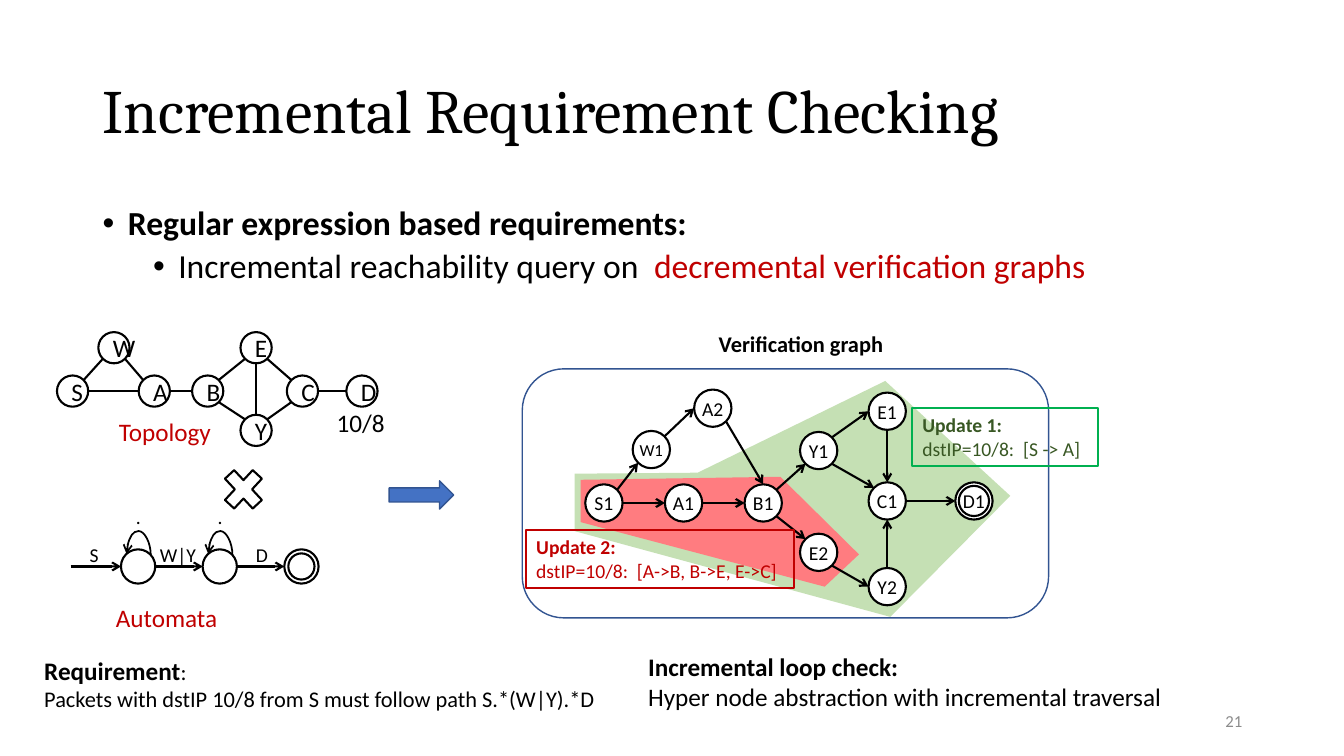
"""Build the slide on incremental requirement checking."""
from dataclasses import dataclass
from lxml import etree
from pptx import Presentation
from pptx import util as u
from pptx.dml.color import RGBColor
from pptx.enum import shapes, text
from pptx.oxml import ns

TITLE = "Incremental Requirement Checking"
BULLETS = [
    [("Regular expression based requirements:", "black", True)],
    [("Incremental reachability query on  ", "black", False),
     ("decremental verification graphs", "red", False)],
]
TOPOLOGY = {"S": (0.72, 3.88), "A": (1.53, 3.88), "W": (1.13, 3.45), "B": (2.06, 3.88),
            "C": (3.0, 3.88), "E": (2.54, 3.45), "Y": (2.54, 4.27), "D": (3.59, 3.88)}
LINKS = ["S ne W sw", "A nw W se", "A w S e", "B w A e", "E sw B ne", "E s Y n",
         "E se C nw", "Y ne C sw", "B se Y nw", "C e D w"]
VERIFICATION = {"S1": (5.99, 4.99), "A1": (6.78, 4.99), "W1": (6.46, 4.46), "B1": (7.57, 4.99),
                "C1": (8.8, 4.97), "Y1": (8.12, 4.47), "E2": (8.12, 5.48), "D1": (9.66, 4.97),
                "A2": (7.07, 4.05), "Y2": (8.8, 5.82), "E1": (8.8, 4.08)}
STEPS = ["S1 ne W1 sw", "S1 e A1 w", "A1 e B1 w", "Y1 se C1 nw", "B1 ne Y1 sw", "C1 e D1 w",
         "W1 ne A2 w", "A2 se B1 n", "E1 s C1 n", "Y1 ne E1 w", "Y2 n C1 s", "E2 se Y2 w",
         "B1 se E2 nw"]
AUTOMATON = [("S", 0.79, 0.24, "left"), ("W|Y", 1.45, 0.63, "center"), ("D", 2.44, 0.24, "left")]
REGIONS = [
    ("pale_green", [(5.7, 4.7), (6.92, 4.69), (7.37, 4.47), (8.78, 3.78), (10.02, 4.92),
                    (8.83, 6.12), (5.7, 5.27)]),
    ("pink", [(5.76, 4.76), (7.74, 4.73), (8.52, 5.5), (8.18, 5.82), (5.76, 5.18)]),
]
UPDATES = [
    ((9.05, 4.05, 1.84, 0.57), "green", "dark_green", "Update 1:", "dstIP=10/8:  [S -> A]"),
    ((5.22, 5.26, 2.66, 0.57), "red", "red", "Update 2:", "dstIP=10/8:  [A->B, B->E, E->C]"),
]
NOTES = [
    ((0.34, 6.45, 5.81, 0.67), [[("Requirement", 18, "black", True), (":", 16, "black", False)],
     [("Packets with dstIP 10/8 from S must follow path S.*(W|Y).*D", 16, "black", False)]], True),
    ((7.03, 3.23, 2.09, 0.37), [[("Verification graph", 16, "black", True)]], True),
    ((3.24, 3.99, 0.68, 0.4), [[("10/8", 18, "black", False)]], False),
    ((1.08, 4.08, 1.13, 0.4), [[("Topology", 18, "red", False)]], False),
    ((1.05, 5.93, 1.22, 0.4), [[("Automata", 18, "red", False)]], False),
    ((6.33, 6.41, 7, 0.71), [[("Incremental loop check:", 18, "black", True)],
     [("Hyper node abstraction with incremental traversal", 18, "black", False)]], True),
]


@dataclass(frozen=True)
class Theme:
    """Colours, fonts and sizes of the slide."""
    black: str = "000000"
    white: str = "FFFFFF"
    red: str = "C00000"
    green: str = "00B050"
    dark_green: str = "385723"
    pale_green: str = "C5E0B4"
    pink: str = "FF7C80"
    blue: str = "4472C4"
    navy: str = "325491"
    grey: str = "8C8C8C"
    head_font: str = "Cambria"
    body_font: str = "Calibri"
    title: int = 44
    body: int = 24
    node: int = 18
    small: int = 14
    tiny: int = 12


T = Theme()
COLS, ROWS = 13.33, 7.5
prs = Presentation()
prs.slide_width, prs.slide_height = u.Inches(COLS), u.Inches(ROWS)
CELL = prs.slide_height / ROWS
s = prs.slides.add_slide(prs.slide_layouts[5])


def grid(*cells):
    return [u.Emu(round(c * CELL)) for c in cells]


def color(name):
    return RGBColor.from_string(getattr(T, name))


def write(tf, paragraphs, align="left", anchor="TOP", wrap=True, font=T.body_font):
    tf.word_wrap = wrap
    tf.auto_size = text.MSO_AUTO_SIZE.NONE
    tf.vertical_anchor = getattr(text.MSO_ANCHOR, anchor)
    for i, runs in enumerate(paragraphs):
        p = tf.add_paragraph() if i else tf.paragraphs[0]
        p.alignment = getattr(text.PP_ALIGN, align.upper())
        for words, size, tone, bold in runs:
            r = p.add_run()
            r.text = words
            r.font.size, r.font.bold, r.font.name = u.Pt(size), bold, font
            r.font.color.rgb = color(tone)


def label(box, paragraphs, **options):
    tf = s.shapes.add_textbox(*grid(*box)).text_frame
    write(tf, paragraphs, **options)
    return tf


def style(sp, fill=None, line="black", width=1.5):
    sp.shadow.inherit = False
    if fill:
        sp.fill.solid()
        sp.fill.fore_color.rgb = color(fill)
    else:
        sp.fill.background()
    if line:
        sp.line.color.rgb, sp.line.width = color(line), u.Pt(width)
    else:
        sp.line.fill.background()
    return sp


def shape(kind, box, *look):
    return style(s.shapes.add_shape(getattr(shapes.MSO_SHAPE, kind), *grid(*box)), *look)


def circle(center, radius, fill=None):
    x, y = center
    return shape("OVAL", (x - radius, y - radius, 2 * radius, 2 * radius), fill)


def connect(start, end, arrow=True, kind="STRAIGHT", width=1.5):
    c = s.shapes.add_connector(getattr(shapes.MSO_CONNECTOR, kind), *grid(*start, *end))
    c.line.color.rgb, c.line.width = color("black"), u.Pt(width)
    if arrow:
        etree.SubElement(c.line._get_or_add_ln(), ns.qn("a:tailEnd"), type="arrow")
    etree.SubElement(c._element.spPr, ns.qn("a:effectLst"))
    return c


def site(center, radius, compass):
    reach = radius * (0.71 if len(compass) == 2 else 1)
    dx = ("e" in compass) - ("w" in compass)
    dy = ("s" in compass) - ("n" in compass)
    return center[0] + dx * reach, center[1] + dy * reach


def graph(nodes, edges, radius, size, arrow, fill=None, inset=0.1):
    for name, center in nodes.items():
        tf = circle(center, radius, fill).text_frame
        tf.margin_left = tf.margin_right = u.Inches(inset)
        points = T.tiny if name == "W1" else size
        write(tf, [[(name, points, "black", False)]], "center", "MIDDLE")
    for edge in edges:
        a, leave, b, enter = edge.split()
        connect(site(nodes[a], radius, leave), site(nodes[b], radius, enter), arrow)


def self_loop(x):
    c = connect((x, 5.38), (x + 0.01, 5.62), kind="CURVE", width=1.25)
    xfrm = c._element.spPr.find(ns.qn("a:xfrm"))
    xfrm.set("rot", "16200000")
    xfrm.set("flipV", "1")
    geom = c._element.spPr.find(ns.qn("a:prstGeom"))
    guides = geom.find(ns.qn("a:avLst"))
    if guides is None:
        guides = etree.SubElement(geom, ns.qn("a:avLst"))
    etree.SubElement(guides, ns.qn("a:gd"), name="adj1", fmla="val 2400000")


def automaton():
    radius, y = 0.17, 5.62
    states = [(1.37 + 0.81 * i, y) for i in range(3)]
    for center in states:
        circle(center, radius, "white")
    circle(states[-1], 0.13, "white")
    exits = [(0.7, y)] + [site(c, radius, "e") for c in states[:-1]]
    for start, center in zip(exits, states):
        connect(start, site(center, radius, "w"))
    for name, x, width, align in AUTOMATON:
        label((x, 5.34, width, 0.34), [[(name, T.small, "black", False)]], align=align)
    for x, _ in states[:-1]:
        self_loop(x)
        label((x - 0.12, 4.96, 0.24, 0.34), [[(".", T.small, "black", False)]], align="center")


def heading():
    title = s.shapes.title
    title.left, title.top, title.width, title.height = grid(0.92, 0.4, 11.5, 1.45)
    write(title.text_frame, [[(TITLE, T.title, "black", False)]], anchor="MIDDLE", font=T.head_font)
    title.text_frame.paragraphs[0].line_spacing = 0.9
    tf = label((0.92, 2, 11.5, 1.1), [[(w, T.body, c, b) for w, c, b in row] for row in BULLETS])
    for level, p in enumerate(tf.paragraphs):
        pPr = p._p.get_or_add_pPr()
        pPr.set("marL", str(u.Inches(0.25 + 0.5 * level)))
        pPr.set("indent", str(u.Inches(-0.25)))
        etree.SubElement(pPr, ns.qn("a:buFont"), typeface="Arial")
        etree.SubElement(pPr, ns.qn("a:buChar"), char="•")
        p.level, p.line_spacing, p.space_before = level, 0.9, u.Pt(5 * level)


heading()
label((9.42, 6.95, 3, 0.4), [[("21", T.tiny, "grey", False)]], align="right", anchor="MIDDLE")
shape("ROUNDED_RECTANGLE", (5.18, 3.66, 5.22, 2.47), "white", "navy", 1)
automaton()
graph(TOPOLOGY, LINKS, 0.155, T.node, False)
shape("MATH_MULTIPLY", (2.15, 4.57, 0.53, 0.57), "white")
for tone, corners in REGIONS:
    first, *rest = [grid(*corner) for corner in corners]
    outline = s.shapes.build_freeform(*first)
    outline.add_line_segments(rest, close=True)
    style(outline.convert_to_shape(), tone, None)
graph(VERIFICATION, STEPS, 0.185, T.small, True, "white", 0)
circle(VERIFICATION["D1"], 0.15)
for box, border, tone, head, rule in UPDATES:
    write(shape("RECTANGLE", box, None, border).text_frame,
          [[(head, T.small, tone, True)], [(rule, T.small, tone, False)]])
shape("RIGHT_ARROW", (3.86, 4.77, 0.64, 0.28), "blue", "navy", 1)
for box, paragraphs, wrap in NOTES:
    label(box, paragraphs, wrap=wrap)
prs.save("out.pptx")
